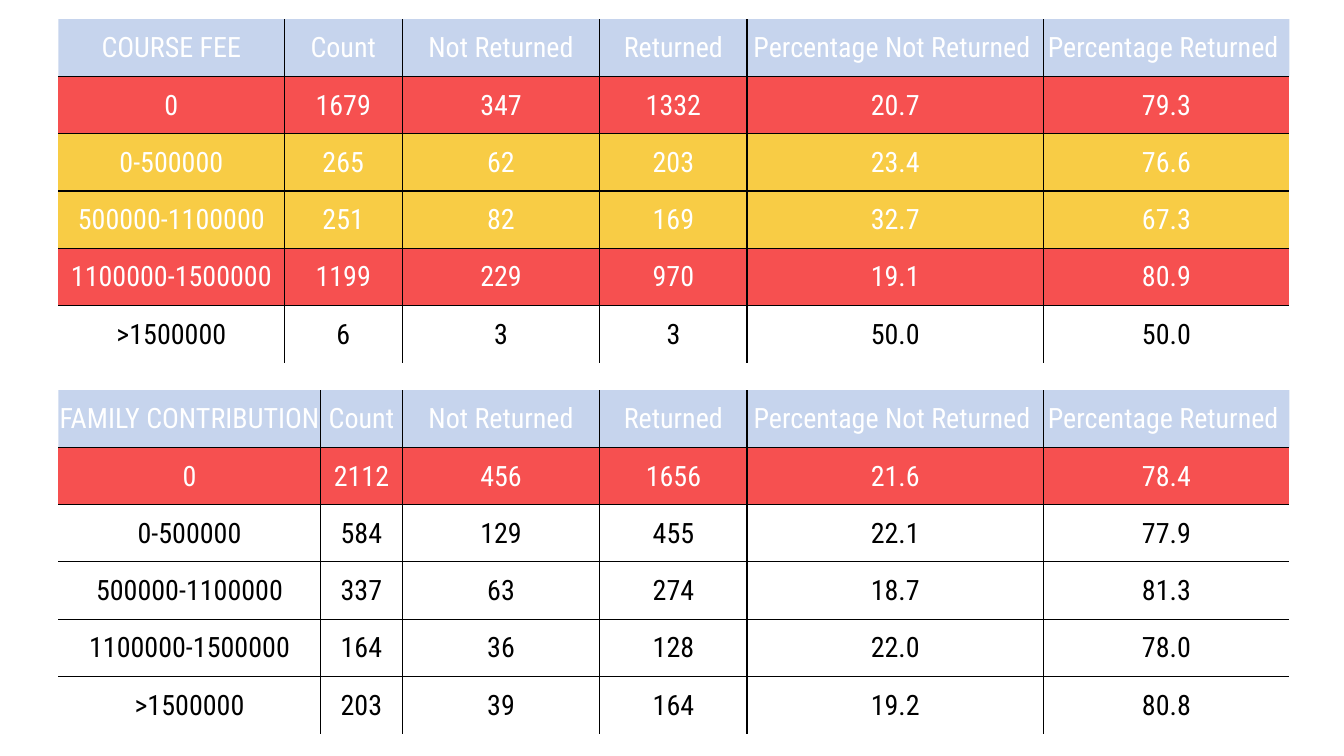
from dataclasses import dataclass

from lxml.etree import SubElement
from pptx import Presentation
from pptx.dml.color import RGBColor
from pptx.enum.text import MSO_ANCHOR, PP_ALIGN
from pptx.oxml import parse_xml
from pptx.oxml.ns import nsdecls, qn
from pptx.util import Inches, Pt


@dataclass(frozen=True)
class Theme:
    font: str = "Roboto Condensed"
    size: int = 20
    light: str = "FFFFFF"
    dark: str = "000000"
    header: str = "8FAADC"
    header_alpha: int = 50
    red: str = "F65050"
    yellow: str = "F8CC45"
    border: int = 1


class SlideBuilder:
    def __init__(self, slide, theme):
        self.slide = slide
        self.theme = theme

    def table(self, left, top, height, widths, rows, fills):
        frame = self.slide.shapes.add_table(
            len(rows), len(widths), Inches(left), Inches(top),
            Inches(sum(widths)), Inches(height))
        table = frame.table
        table.first_row = table.horz_banding = False
        for column, width in zip(table.columns, widths):
            column.width = Inches(width)
        last_row, last_column = len(rows) - 1, len(widths) - 1
        for i, (values, fill) in enumerate(zip(rows, fills)):
            table.rows[i].height = Inches(height / len(rows))
            for j, value in enumerate(values):
                cell = table.cell(i, j)
                self.cell_text(cell, value, fill)
                self.cell_fill(cell, fill, i == 0)
                self.cell_borders(cell, {
                    "L": j > 0, "R": j < last_column,
                    "T": i > 0, "B": i < last_row})

    def cell_text(self, cell, text, fill):
        cell.vertical_anchor = MSO_ANCHOR.MIDDLE
        cell.margin_left = cell.margin_right = cell.margin_top = Inches(0.01)
        cell.margin_bottom = Inches(0)
        cell.text = text
        paragraph = cell.text_frame.paragraphs[0]
        paragraph.alignment = PP_ALIGN.CENTER
        paragraph.font.name = self.theme.font
        paragraph.font.size = Pt(self.theme.size)
        paragraph.font.bold = False
        color = self.theme.light if fill else self.theme.dark
        paragraph.font.color.rgb = RGBColor.from_string(color)

    def cell_fill(self, cell, color, translucent):
        if not color:
            cell.fill.background()
            return
        cell.fill.solid()
        cell.fill.fore_color.rgb = RGBColor.from_string(color)
        if translucent:
            rgb = cell._tc.tcPr.find(".//" + qn("a:srgbClr"))
            SubElement(rgb, qn("a:alpha"), val=str(self.theme.header_alpha * 1000))

    def cell_borders(self, cell, sides):
        solid = f'<a:solidFill><a:srgbClr val="{self.theme.dark}"/></a:solidFill>'
        for position, (side, visible) in enumerate(sides.items()):
            paint = solid if visible else "<a:noFill/>"
            line = parse_xml(
                f'<a:ln{side} {nsdecls("a")} w="{Pt(self.theme.border)}">{paint}</a:ln{side}>')
            cell._tc.tcPr.insert(position, line)


COMMON_HEADERS = ["Count", "Not Returned", "Returned",
                  "Percentage Not Returned ", "Percentage Returned "]
COMMON_WIDTHS = [1.96, 1.46, 2.94, 2.44]
BANDS = ["0", "0-500000", "500000-1100000", "1100000-1500000", ">1500000"]
COURSE_FEE = [
    ["1679", "347", "1332", "20.7", "79.3"],
    ["265", "62", "203", "23.4", "76.6"],
    ["251", "82", "169", "32.7", "67.3"],
    ["1199", "229", "970", "19.1", "80.9"],
    ["6", "3", "3", "50.0", "50.0"],
]
FAMILY_CONTRIBUTION = [
    ["2112", "456", "1656", "21.6", "78.4"],
    ["584", "129", "455", "22.1", "77.9"],
    ["337", "63", "274", "18.7", "81.3"],
    ["164", "36", "128", "22.0", "78.0"],
    ["203", "39", "164", "19.2", "80.8"],
]


def main():
    presentation = Presentation()
    presentation.slide_width = Inches(13.33)
    presentation.slide_height = Inches(7.5)
    theme = Theme()
    slide = presentation.slides.add_slide(presentation.slide_layouts[6])
    builder = SlideBuilder(slide, theme)
    red, yellow = theme.red, theme.yellow
    tables = [
        ("COURSE FEE", 0.19, [2.24, 1.17], COURSE_FEE,
         [red, yellow, yellow, red, None]),
        ("FAMILY CONTRIBUTION", 3.87, [2.6, 0.81], FAMILY_CONTRIBUTION,
         [red, None, None, None, None]),
    ]
    for heading, top, first_widths, figures, fills in tables:
        rows = [[heading, *COMMON_HEADERS]]
        rows += [[band, *values] for band, values in zip(BANDS, figures)]
        builder.table(0.58, top, 3.41, first_widths + COMMON_WIDTHS,
                      rows, [theme.header, *fills])
    presentation.save("out.pptx")


if __name__ == "__main__":
    main()
